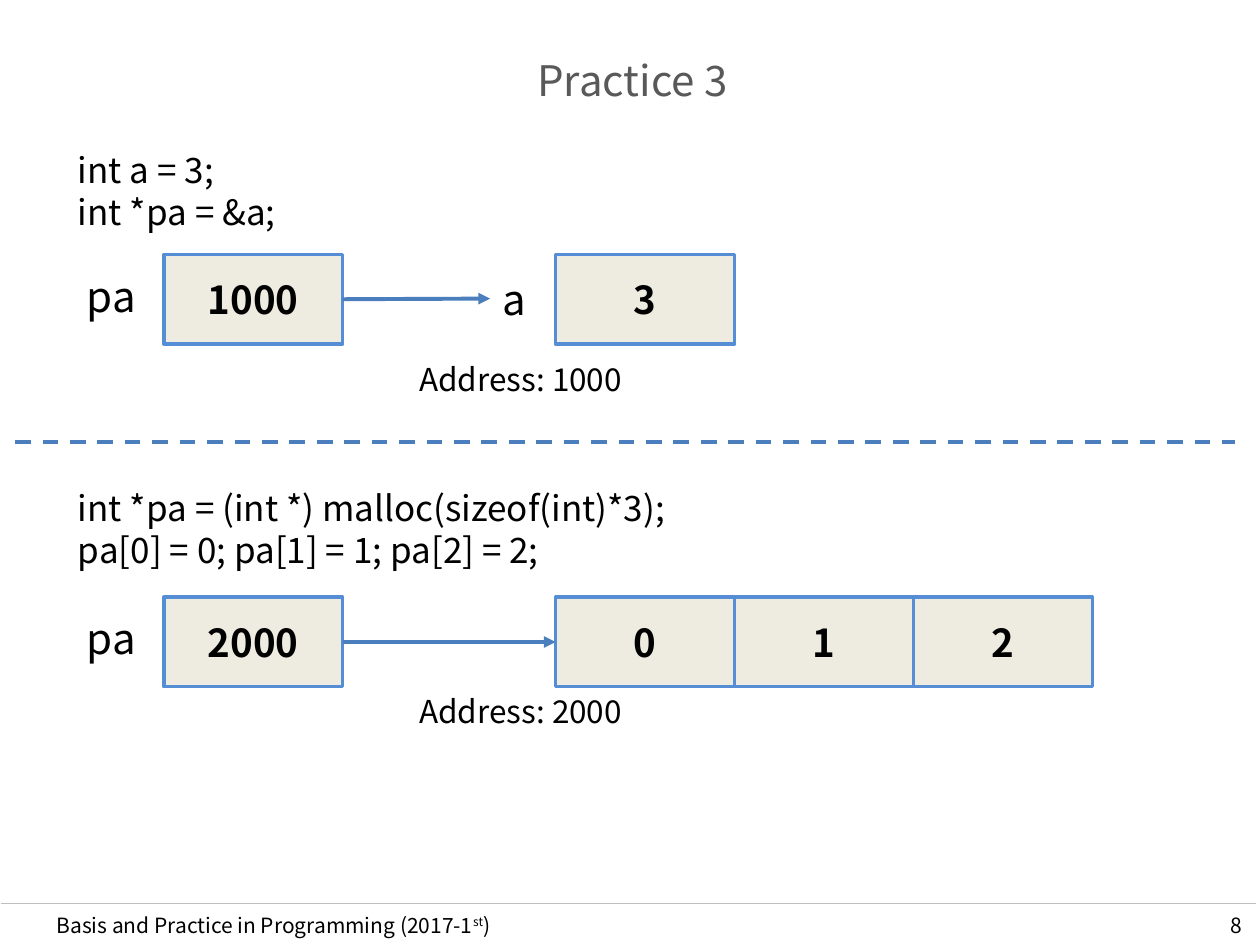
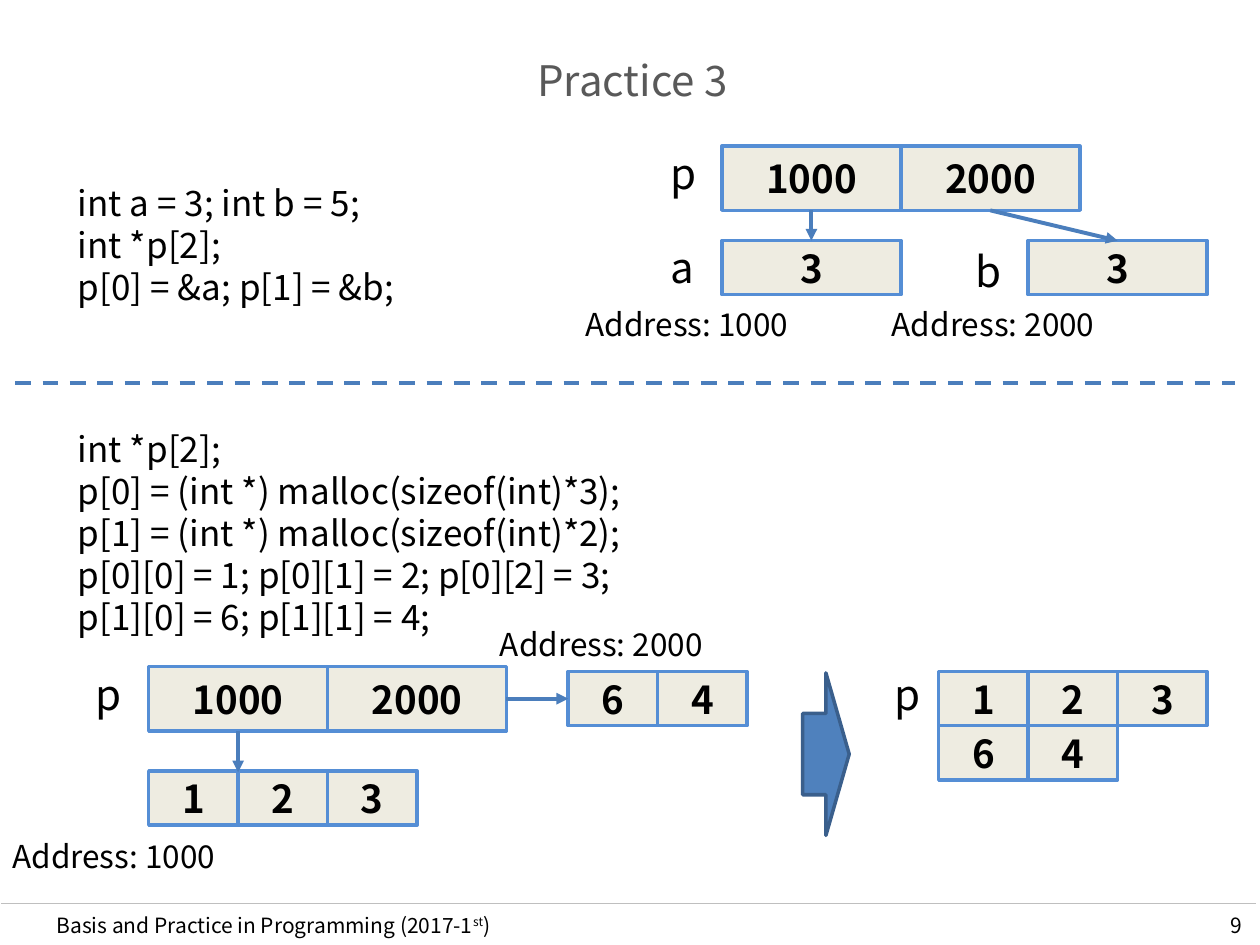
from dataclasses import dataclass

from lxml import etree
from pptx import Presentation
from pptx.dml.color import RGBColor
from pptx.enum.dml import MSO_LINE
from pptx.enum.shapes import MSO_CONNECTOR, MSO_SHAPE
from pptx.enum.text import MSO_ANCHOR, MSO_AUTO_SIZE, PP_ALIGN
from pptx.oxml.ns import qn
from pptx.util import Inches, Pt

LEFT, CENTER, RIGHT = PP_ALIGN.LEFT, PP_ALIGN.CENTER, PP_ALIGN.RIGHT
ANCHOR_TOP, ANCHOR_MIDDLE = MSO_ANCHOR.TOP, MSO_ANCHOR.MIDDLE
SIDE_TOP, SIDE_LEFT, SIDE_BOTTOM, SIDE_RIGHT = range(4)
TITLE_ONLY_LAYOUT = 5


@dataclass(frozen=True)
class Theme:
    font: str = "Noto Sans CJK KR"
    line_height: float = 1.2
    text: str = "000000"
    title: str = "595959"
    rule: str = "BFBFBF"
    cell_fill: str = "EEECE1"
    cell_line: str = "558ED5"
    arrow: str = "4B7EBC"
    block_fill: str = "4F81BD"
    block_line: str = "3A5F8C"
    title_size: int = 24
    label_size: int = 24
    cell_size: int = 22
    code_size: int = 20
    address_size: int = 18
    footer_size: int = 12


THEME = Theme()
TITLE = "Practice 3"
# (text, superscript) pieces
FOOTER = [("Basis and Practice in Programming (2017-1", False), ("st", True), (")", False)]

WIDE, NARROW = 1.42, 0.71
TALL, MEDIUM, LOW = 0.71, 0.51, 0.43
CODE_LEFT = 0.52
ADDRESS_SIZE = (2.6, 0.4)
LABEL_HEIGHT = 0.5

# code: (top, width, lines)
# arrays: name -> (left, top, cell width, cell height, values)
# labels: name -> (left, top, width, text)
# addresses: (left, top, text)
# arrows: (part, index, side) to (part, index, side) or to a free (x, y) point
SLIDES = [
    {
        "number": 8,
        "divider": 3.51,
        "code": [
            (1.13, 2.9, ["int a = 3;", "int *pa = &a;"]),
            (3.81, 4.95, ["int *pa = (int *) malloc(sizeof(int)*3);",
                          "pa[0] = 0; pa[1] = 1; pa[2] = 2;"]),
        ],
        "arrays": {
            "pointer": (1.3, 2.02, WIDE, TALL, ["1000"]),
            "variable": (4.41, 2.02, WIDE, TALL, ["3"]),
            "heap pointer": (1.3, 4.74, WIDE, TALL, ["2000"]),
            "heap": (4.41, 4.74, WIDE, TALL, ["0", "1", "2"]),
        },
        "labels": {
            "pointer label": (0.59, 2.1, 0.71, "pa"),
            "variable label": (3.89, 2.12, 0.71, "a"),
            "heap pointer label": (0.59, 4.81, 0.71, "pa"),
        },
        "addresses": [(3.23, 2.81, "Address: 1000"), (3.23, 5.44, "Address: 2000")],
        "arrows": [
            (("pointer", 0, SIDE_RIGHT), ("variable label", 0, SIDE_LEFT)),
            (("heap pointer", 0, SIDE_RIGHT), ("heap", 0, SIDE_LEFT)),
        ],
        "block_arrows": [],
    },
    {
        "number": 9,
        "divider": 3.04,
        "code": [
            (1.39, 5.5, ["int a = 3; int b = 5;", "int *p[2];", "p[0] = &a; p[1] = &b;"]),
            (3.34, 4.95, ["int *p[2];",
                          "p[0] = (int *) malloc(sizeof(int)*3);",
                          "p[1] = (int *) malloc(sizeof(int)*2);",
                          "p[0][0] = 1; p[0][1] = 2; p[0][2] = 3;",
                          "p[1][0] = 6; p[1][1] = 4;"]),
        ],
        "arrays": {
            "pointers": (5.73, 1.16, WIDE, MEDIUM, ["1000", "2000"]),
            "a": (5.73, 1.91, WIDE, LOW, ["3"]),
            "b": (8.16, 1.91, WIDE, LOW, ["3"]),
            "heap pointers": (1.18, 5.29, WIDE, MEDIUM, ["1000", "2000"]),
            "first heap": (1.18, 6.12, NARROW, LOW, ["1", "2", "3"]),
            "second heap": (4.51, 5.33, NARROW, LOW, ["6", "4"]),
            "matrix row 0": (7.45, 5.33, NARROW, LOW, ["1", "2", "3"]),
            "matrix row 1": (7.45, 5.76, NARROW, LOW, ["6", "4"]),
        },
        "labels": {
            "pointers label": (5.22, 1.12, 0.51, "p"),
            "a label": (5.22, 1.87, 0.71, "a"),
            "b label": (7.64, 1.9, 0.71, "b"),
            "heap pointers label": (0.66, 5.26, 0.51, "p"),
            "matrix label": (7, 5.26, 0.63, "p"),
        },
        "addresses": [
            (4.55, 2.37, "Address: 1000"),
            (6.98, 2.37, "Address: 2000"),
            (0, 6.59, "Address: 1000"),
            (3.87, 4.91, "Address: 2000"),
        ],
        "arrows": [
            (("pointers", 0, SIDE_BOTTOM), ("a", 0, SIDE_TOP)),
            (("pointers", 1, SIDE_BOTTOM), ("b", 0, SIDE_TOP)),
            (("heap pointers", 0, SIDE_BOTTOM), (1.89, 6.13)),
            (("heap pointers", 1, SIDE_RIGHT), ("second heap", 0, SIDE_LEFT)),
        ],
        "block_arrows": [(6.37, 5.34, 0.37, 1.29)],
    },
]


def rgb(value):
    return RGBColor.from_string(value)


def write_text(shape, lines, size, color=THEME.text, bold=False, align=LEFT,
               anchor=ANCHOR_TOP):
    """Fill a shape; a line is a string or a list of (text, superscript) pieces."""
    frame = shape.text_frame
    frame.word_wrap = True
    frame.auto_size = MSO_AUTO_SIZE.NONE
    frame.vertical_anchor = anchor
    for index, line in enumerate(lines):
        paragraph = frame.add_paragraph() if index else frame.paragraphs[0]
        paragraph.alignment = align
        paragraph.line_spacing = Pt(size * THEME.line_height)
        pieces = [(line, False)] if isinstance(line, str) else line
        for text, superscript in pieces:
            run = paragraph.add_run()
            run.text = text
            font = run.font
            font.name, font.size, font.bold = THEME.font, Pt(size), bold
            font.color.rgb = rgb(color)
            properties = font._element
            etree.SubElement(properties, qn("a:ea"), typeface=THEME.font)
            if superscript:
                properties.set("baseline", "30000")


def add_text(slide, box, lines, size, **text_format):
    shape = slide.shapes.add_textbox(*map(Inches, box))
    write_text(shape, lines, size, **text_format)
    return shape


def add_filled_shape(slide, kind, box, fill, line):
    shape = slide.shapes.add_shape(kind, *map(Inches, box))
    shape.shadow.inherit = False
    shape.fill.solid()
    shape.fill.fore_color.rgb = rgb(fill)
    shape.line.color.rgb = rgb(line)
    shape.line.width = Pt(2)
    return shape


def add_line(slide, start, end, color=THEME.arrow, width=2.25):
    connector = slide.shapes.add_connector(
        MSO_CONNECTOR.STRAIGHT, *map(Inches, (*start, *end)))
    connector.line.color.rgb = rgb(color)
    connector.line.width = Pt(width)
    etree.SubElement(connector._element.spPr, qn("a:effectLst"))
    return connector


def add_array(slide, left, top, width, height, values):
    cells = []
    for index, value in enumerate(values):
        cell = add_filled_shape(slide, MSO_SHAPE.RECTANGLE,
                                (left + index * width, top, width, height),
                                THEME.cell_fill, THEME.cell_line)
        write_text(cell, [value], THEME.cell_size, bold=True, align=CENTER,
                   anchor=ANCHOR_MIDDLE)
        cells.append(cell)
    return cells


def add_arrow(slide, parts, source, target):
    """Join the source part to a target part, or to a free point."""
    free_end = len(target) == 2
    connector = add_line(slide, (0, 0), target if free_end else (1, 1))
    name, index, side = source
    connector.begin_connect(parts[name][index], side)
    if not free_end:
        name, index, side = target
        connector.end_connect(parts[name][index], side)
    etree.SubElement(connector.line._get_or_add_ln(), qn("a:tailEnd"), type="triangle")


def add_frame(slide, number):
    """Add the title, footer and page number that all slides share."""
    title = slide.shapes.title
    title.left, title.top, title.width, title.height = map(Inches, (0.52, 0.36, 9, 0.55))
    write_text(title, [TITLE], THEME.title_size, color=THEME.title, align=CENTER,
               anchor=ANCHOR_MIDDLE)
    add_line(slide, (0.01, 7.17), (9.97, 7.17), color=THEME.rule, width=0.75)
    add_text(slide, (0.35, 7.19, 4.72, 0.3), [FOOTER], THEME.footer_size)
    add_text(slide, (7.63, 7.2, 2.33, 0.28), [str(number)], THEME.footer_size,
             align=RIGHT, anchor=ANCHOR_MIDDLE)


def add_practice_slide(presentation, content):
    slide = presentation.slides.add_slide(presentation.slide_layouts[TITLE_ONLY_LAYOUT])
    add_frame(slide, content["number"])

    for top, width, lines in content["code"]:
        height = 0.1 + len(lines) * THEME.code_size * THEME.line_height / 72
        add_text(slide, (CODE_LEFT, top, width, height), lines, THEME.code_size)

    parts = {name: add_array(slide, *array) for name, array in content["arrays"].items()}
    for name, (left, top, width, text) in content["labels"].items():
        parts[name] = [add_text(slide, (left, top, width, LABEL_HEIGHT), [text],
                                THEME.label_size)]
    for left, top, text in content["addresses"]:
        add_text(slide, (left, top, *ADDRESS_SIZE), [text], THEME.address_size)
    for source, target in content["arrows"]:
        add_arrow(slide, parts, source, target)
    for box in content["block_arrows"]:
        add_filled_shape(slide, MSO_SHAPE.RIGHT_ARROW, box,
                         THEME.block_fill, THEME.block_line)

    divider_top = content["divider"]
    divider = add_line(slide, (0.12, divider_top), (9.8, divider_top))
    divider.line.dash_style = MSO_LINE.DASH


def main():
    presentation = Presentation()
    presentation.slide_width, presentation.slide_height = Inches(10), Inches(7.5)
    for content in SLIDES:
        add_practice_slide(presentation, content)
    presentation.save("out.pptx")


if __name__ == "__main__":
    main()
